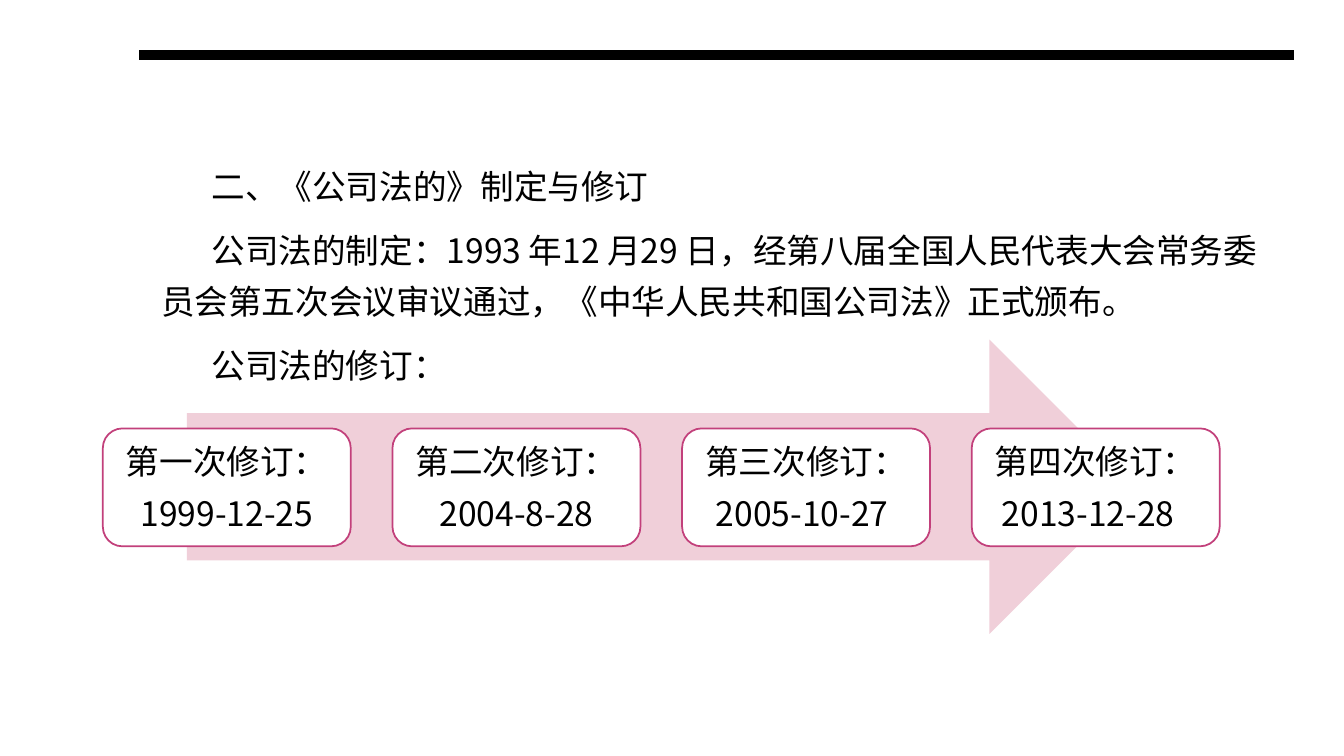
from dataclasses import dataclass

from lxml import etree
from pptx import Presentation
from pptx.dml.color import RGBColor
from pptx.enum import shapes, text
from pptx.oxml import ns
from pptx.util import Inches, Pt

FONT = "Noto Sans CJK SC"
BLACK, WHITE, PINK, MAGENTA = "000000", "FFFFFF", "F0CFD9", "C2407B"
SPACE_WIDTH = 0.075  # inches, one blank at 24 pt


@dataclass
class Area:
    """A rectangle in percent of the slide's width and height."""
    left: float
    top: float
    width: float
    height: float


@dataclass
class Revision:
    title: str
    date: str
    date_shift: int = 0  # blanks kept free to the right of the date


INTRODUCTION = [
    "二、《公司法的》制定与修订",
    "公司法的制定：1993 年12 月29 日，经第八届全国人民代表大会常务委员会第五次会议审议通过，"
    "《中华人民共和国公司法》正式颁布。",
    "公司法的修订：",
]
REVISIONS = [
    Revision("第一次修订：", "1999-12-25"),
    Revision("第二次修订：", "2004-8-28"),
    Revision("第三次修订：", "2005-10-27", 1),
    Revision("第四次修订：", "2013-12-28", 2),
]
FIRST_CARD = Area(7.65, 56.67, 18.45, 15.6)
CARD_PITCH = 21.55

deck = Presentation()
deck.slide_width, deck.slide_height = Inches(13.33), Inches(7.5)
page = deck.slides.add_slide(deck.slide_layouts[6])


def color(value: str) -> RGBColor:
    return RGBColor.from_string(value)


def across(share: float) -> int:
    return round(deck.slide_width * share / 100)


def down(share: float) -> int:
    return round(deck.slide_height * share / 100)


def place(area: Area) -> tuple[int, int, int, int]:
    return across(area.left), down(area.top), across(area.width), down(area.height)


def apply(target, formats: dict) -> None:
    for name, value in formats.items():
        setattr(target, name, value)


def write(frame, lines: list[str], formats: dict) -> list:
    """Fill a text frame, one paragraph for each line."""
    apply(frame, {"word_wrap": True, "vertical_anchor": text.MSO_ANCHOR.MIDDLE})
    paras = [frame.paragraphs[0]] + [frame.add_paragraph() for _ in lines[1:]]
    for para, line in zip(paras, lines):
        apply(para, formats)
        span = para.add_run()
        span.text = line
        apply(span.font, {"name": FONT, "size": Pt(24)})
        span.font.color.rgb = color(BLACK)
        east_asian = etree.SubElement(span.font._element, ns.qn("a:ea"))
        east_asian.set("typeface", FONT)
    return paras


def add_box(kind, area: Area, fill: str, line: str = ""):
    box = page.shapes.add_shape(kind, *place(area))
    box.shadow.inherit = False
    box.fill.solid()
    box.fill.fore_color.rgb = color(fill)
    if line:
        box.line.color.rgb = color(line)
        box.line.width = Pt(1.25)
    else:
        box.line.fill.background()
    return box


def add_revision(column: int, revision: Revision) -> None:
    area = Area(FIRST_CARD.left + column * CARD_PITCH, FIRST_CARD.top,
                FIRST_CARD.width, FIRST_CARD.height)
    card = add_box(shapes.MSO_SHAPE.ROUNDED_RECTANGLE, area, WHITE, MAGENTA)
    frame = card.text_frame
    apply(frame, dict.fromkeys(
        ("margin_left", "margin_top", "margin_right", "margin_bottom"), 0))
    title, date = write(frame, [revision.title, revision.date],
                        {"alignment": text.PP_ALIGN.CENTER})
    title.space_after = Pt(8.4)
    if revision.date_shift:
        margin = Inches(SPACE_WIDTH * revision.date_shift)
        date._p.get_or_add_pPr().set("marR", str(margin))


# Introduction
introduction = page.shapes.add_textbox(*place(Area(11.25, 16.13, 83.12, 39.33)))
for para in write(introduction.text_frame, INTRODUCTION,
                  {"alignment": text.PP_ALIGN.LEFT, "line_spacing": 1.25,
                   "space_before": Pt(10)}):
    apply_indent = para._p.get_or_add_pPr()
    apply_indent.set("indent", str(Inches(0.5)))

# Timeline arrow with the four revisions
add_box(shapes.MSO_SHAPE.RIGHT_ARROW, Area(13.9, 44.93, 70.67, 38.93), PINK)
for column, revision in enumerate(REVISIONS):
    add_revision(column, revision)

# Heading rule
rule = page.shapes.add_connector(shapes.MSO_CONNECTOR.STRAIGHT, across(10.73),
                                 down(7.33), across(95.95), down(7.33))
rule.line.color.rgb = color(BLACK)
rule.line.width = Pt(7)
rule.line._get_or_add_ln().set("cap", "sq")
etree.SubElement(rule._element.spPr, ns.qn("a:effectLst"))

deck.save("out.pptx")
